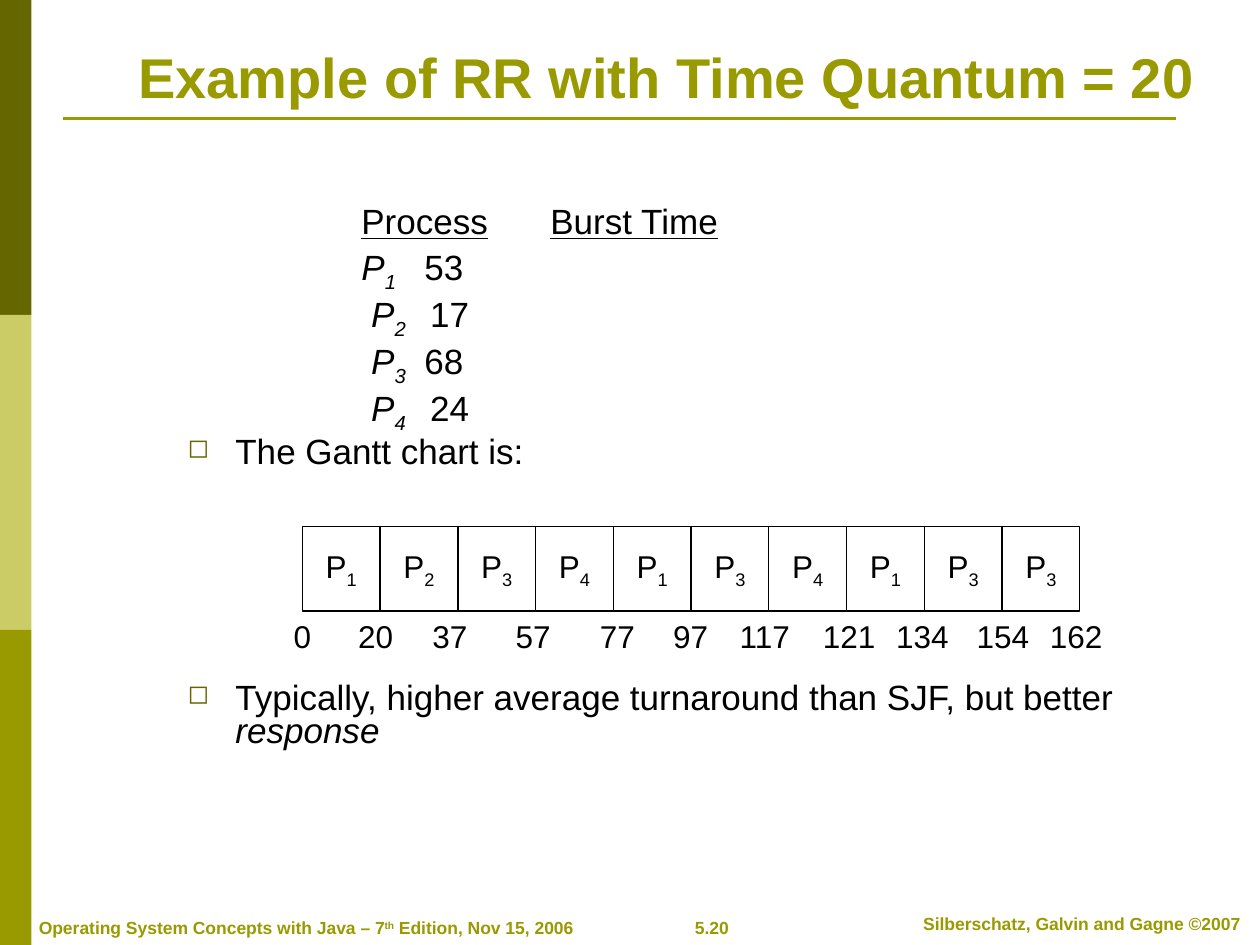
from dataclasses import dataclass
from typing import Any

from lxml.etree import SubElement
from pptx import Presentation
from pptx.dml.color import RGBColor
from pptx.enum.shapes import MSO_CONNECTOR as Connector, MSO_SHAPE as Preset
from pptx.enum.text import MSO_ANCHOR as Anchor, PP_ALIGN as Align
from pptx.oxml.ns import qn
from pptx.util import Inches, Pt

COLUMNS, ROWS = 100, 75

# Gantt bar: process number of each slice, then each time with its centre column
SLICES = [1, 2, 3, 4, 1, 3, 4, 1, 3, 3]
TIMES = [(0, 24), (20, 29.8), (37, 35.7), (57, 42.3), (77, 49), (97, 54.8),
         (117, 60.7), (121, 67.4), (134, 73.2), (154, 79.6), (162, 85.4)]
BURSTS = [("", 1, "\t", "53"), (" ", 2, "\t ", "17"),
          (" ", 3, "\t", "68"), (" ", 4, "\t ", "24")]


def color(value):
    return RGBColor.from_string(value)


def write(para, text, size=20, fill="000000", font="Arial", bold=False,
          italic=False, underline=False, baseline=0):
    """Add one formatted span; baseline is a percentage, negative for subscript."""
    span = para.add_run()
    span.text = text
    span.font.name, span.font.size = font, Pt(size)
    span.font.bold, span.font.italic, span.font.underline = bold, italic, underline
    span.font.color.rgb = color(fill)
    if baseline:
        span.font._element.set("baseline", str(baseline * 1000))


def indent(para, left, first=0):
    """Set the left margin and first-line offset in inches."""
    properties = para._p.get_or_add_pPr()
    properties.set("marL", str(Inches(left)))
    properties.set("indent", str(Inches(first)))
    return properties


@dataclass
class SlideBuilder:
    deck: Any
    page: Any
    olive: str = "999900"
    dark: str = "666600"
    light: str = "CCCC66"
    black: str = "000000"
    white: str = "FFFFFF"

    def place(self, column, row, width, height):
        across, down = self.deck.slide_width / COLUMNS, self.deck.slide_height / ROWS
        return (round(column * across), round(row * down),
                round(width * across), round(height * down))

    def block(self, column, row, width, height, fill, line=None):
        shape = self.page.shapes.add_shape(
            Preset.RECTANGLE, *self.place(column, row, width, height))
        shape.shadow.inherit = False
        shape.fill.solid()
        shape.fill.fore_color.rgb = color(fill)
        if line:
            shape.line.color.rgb = color(line)
            shape.line.width = Pt(0.75)
        else:
            shape.line.fill.background()
        return shape

    def rule(self, left, right, row):
        x, y, width, _ = self.place(left, row, right - left, 0)
        line = self.page.shapes.add_connector(Connector.STRAIGHT, x, y, x + width, y)
        line.line.color.rgb = color(self.olive)
        line.line.width = Pt(1.5)
        SubElement(line._element.spPr, qn("a:effectLst"))

    def text_box(self, column, row, width, height, wrap=False,
                 anchor=Anchor.TOP, align=Align.LEFT):
        box = self.page.shapes.add_textbox(*self.place(column, row, width, height))
        frame = box.text_frame
        frame.word_wrap, frame.vertical_anchor = wrap, anchor
        frame.paragraphs[0].alignment = align
        return frame

    def slice(self, column, row, width, height, process):
        frame = self.block(column, row, width, height, self.white, self.black).text_frame
        frame.word_wrap, frame.vertical_anchor = False, Anchor.MIDDLE
        para = frame.paragraphs[0]
        para.alignment = Align.CENTER
        write(para, "P", size=18)
        write(para, str(process), size=18, baseline=-25)

    def time(self, center, row, value):
        width = 2 + 1.4 * len(str(value))
        frame = self.text_box(center - width / 2, row, width, 4,
                              anchor=Anchor.MIDDLE, align=Align.CENTER)
        write(frame.paragraphs[0], str(value), size=18)

    def next_line(self, frame, before=5):
        para = frame.add_paragraph()
        para.line_spacing, para.space_before = 0.8, Pt(before)
        return para

    def bullet(self, frame, text, before=5):
        para = self.next_line(frame, before)
        properties = indent(para, 0.38, -0.38)
        tint = SubElement(properties, qn("a:buClr"))
        SubElement(tint, qn("a:srgbClr"), val=self.dark)
        SubElement(properties, qn("a:buSzPct"), val="75000")
        SubElement(properties, qn("a:buChar"), char="◻")
        write(para, text)
        return para


def add_frame(slide):
    """Side bands, title rule and footer."""
    for index, fill in enumerate([slide.dark, slide.light, slide.olive]):
        slide.block(0, index * ROWS / 3, 2.5, ROWS / 3, fill)
    slide.rule(5, 93.3, 9.4)
    footer = dict(size=10, fill=slide.olive, bold=True)
    number = slide.text_box(51.6, 72.3, 9.8, 2.7, align=Align.CENTER)
    write(number.paragraphs[0], "5.20", **footer)
    authors = slide.text_box(71, 72, 29.7, 2.7, wrap=True, align=Align.CENTER)
    write(authors.paragraphs[0], "Silberschatz, Galvin and Gagne ©2007", **footer)
    book = slide.text_box(2.1, 72.3, 44.4, 2.7).paragraphs[0]
    write(book, "Operating System Concepts with Java – 7", **footer)
    write(book, "th", baseline=30, **footer)
    write(book, " Edition, Nov 15, 2006", **footer)


def add_body(slide):
    frame = slide.text_box(13.9, 16, 76.7, 48.3, wrap=True)
    heading = frame.paragraphs[0]
    heading.line_spacing = 0.8
    indent(heading, 1.38)
    write(heading, "Process", underline=True)
    write(heading, "\t")
    write(heading, "Burst Time", underline=True)
    for lead, process, gap, burst in BURSTS:
        para = slide.next_line(frame)
        indent(para, 1.38)
        write(para, lead + "P", italic=True)
        write(para, str(process) + gap, italic=True, baseline=-25)
        write(para, burst)
    slide.bullet(frame, "The Gantt chart is:")
    # The wide space before the last bullet leaves room for the Gantt bar
    closing = slide.bullet(
        frame, "Typically, higher average turnaround than SJF, but better ", before=121)
    write(closing, "response", italic=True)


def add_gantt(slide):
    left, top, width, height = 24, 41.8, 6.17, 6.7
    for index, process in enumerate(SLICES):
        slide.slice(left + index * width, top, width, height, process)
    for value, center in TIMES:
        slide.time(center, top + height, value)


def main():
    deck = Presentation()
    deck.slide_width, deck.slide_height = Inches(10), Inches(7.5)
    slide = SlideBuilder(deck, deck.slides.add_slide(deck.slide_layouts[6]))
    add_frame(slide)
    title = slide.text_box(10, 0, 88.1, 9.2, wrap=True, anchor=Anchor.BOTTOM)
    write(title.paragraphs[0], "Example of RR with Time Quantum = 20",
          size=32, fill=slide.olive, bold=True)
    add_body(slide)
    add_gantt(slide)
    deck.save("out.pptx")


if __name__ == "__main__":
    main()
